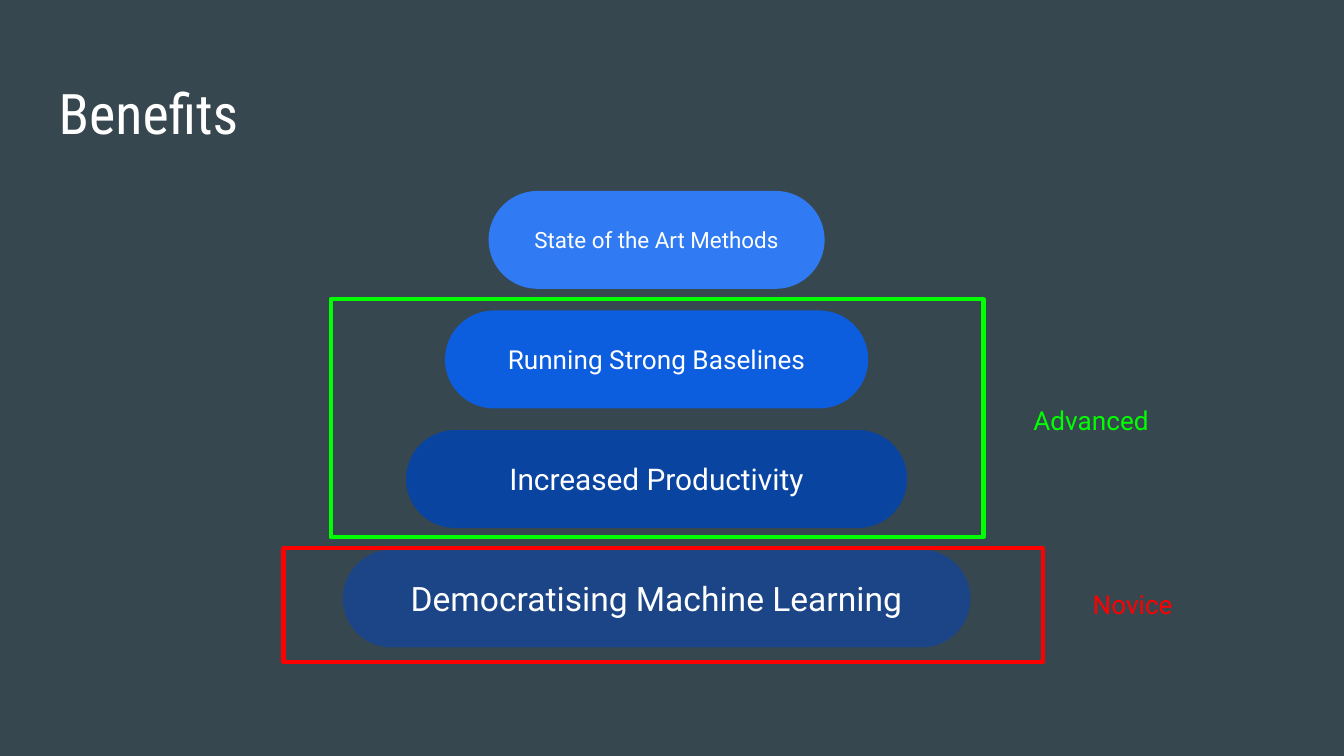
from pptx import Presentation
from pptx.dml.color import RGBColor as RGB
from pptx.enum.shapes import MSO_SHAPE as Shape
from pptx.enum.text import MSO_ANCHOR as Anchor, MSO_AUTO_SIZE as Fit, PP_ALIGN as Align
from pptx.util import Cm, Pt

HUES = {
    "back": "37474F", "white": "FFFFFF",
    "top": "307BF3", "strong": "0D5DDF", "work": "0944A1", "base": "1C4587",
    "novice": "FF0000", "expert": "00FF00",
}


def hue(name):
    return RGB.from_string(HUES[name])


def write(shape, text, size, color, align=Align.LEFT, anchor=Anchor.TOP, face="Roboto"):
    frame = shape.text_frame
    frame.text = text
    frame.word_wrap = True
    frame.auto_size = Fit.NONE
    frame.vertical_anchor = anchor
    frame.margin_left = frame.margin_right = Cm(0.25)
    frame.margin_top = frame.margin_bottom = Cm(0.25)
    para = frame.paragraphs[0]
    para.alignment = align
    para.font.name = face
    para.font.size = Pt(size)
    para.font.color.rgb = hue(color)


deck = Presentation()
deck.slide_width, deck.slide_height = Cm(25.4), Cm(14.29)
slide = deck.slides.add_slide(deck.slide_layouts[5])
slide.background.fill.solid()
slide.background.fill.fore_color.rgb = hue("back")
shapes = slide.shapes

title = shapes.title
title.left, title.top, title.width, title.height = Cm(0.86), Cm(1.24), Cm(23.67), Cm(1.6)
write(title, "Benefits", 30, "white", face="Roboto Condensed")

levels = [
    ("State of the Art Methods", 6.35, 12, "top"),
    ("Running Strong Baselines", 8, 14, "strong"),
    ("Increased Productivity", 9.47, 16, "work"),
    ("Democratising Machine Learning", 11.86, 18, "base"),
]
middle, start, step = 12.41, 3.61, 2.26
for row, (text, width, size, color) in enumerate(levels):
    pill = shapes.add_shape(Shape.ROUNDED_RECTANGLE, Cm(middle - width / 2),
                            Cm(start + row * step), Cm(width), Cm(1.85))
    pill.adjustments[0] = 0.5
    pill.shadow.inherit = False
    pill.fill.solid()
    pill.fill.fore_color.rgb = hue(color)
    pill.line.fill.background()
    write(pill, text, size, "white", Align.CENTER, Anchor.MIDDLE)

groups = [
    ("Novice", "novice", (5.36, 10.36, 14.35, 2.16), (20.4, 10.87, 3.28, 0.89)),
    ("Advanced", "expert", (6.25, 5.66, 12.34, 4.5), (19.28, 7.39, 3.5, 1.02)),
]
for text, color, area, spot in groups:
    border = shapes.add_shape(Shape.RECTANGLE, *map(Cm, area))
    border.shadow.inherit = False
    border.fill.background()
    border.line.color.rgb = hue(color)
    border.line.width = Pt(2.25)
    label = shapes.add_textbox(*map(Cm, spot))
    write(label, text, 14, color)

deck.save("out.pptx")
